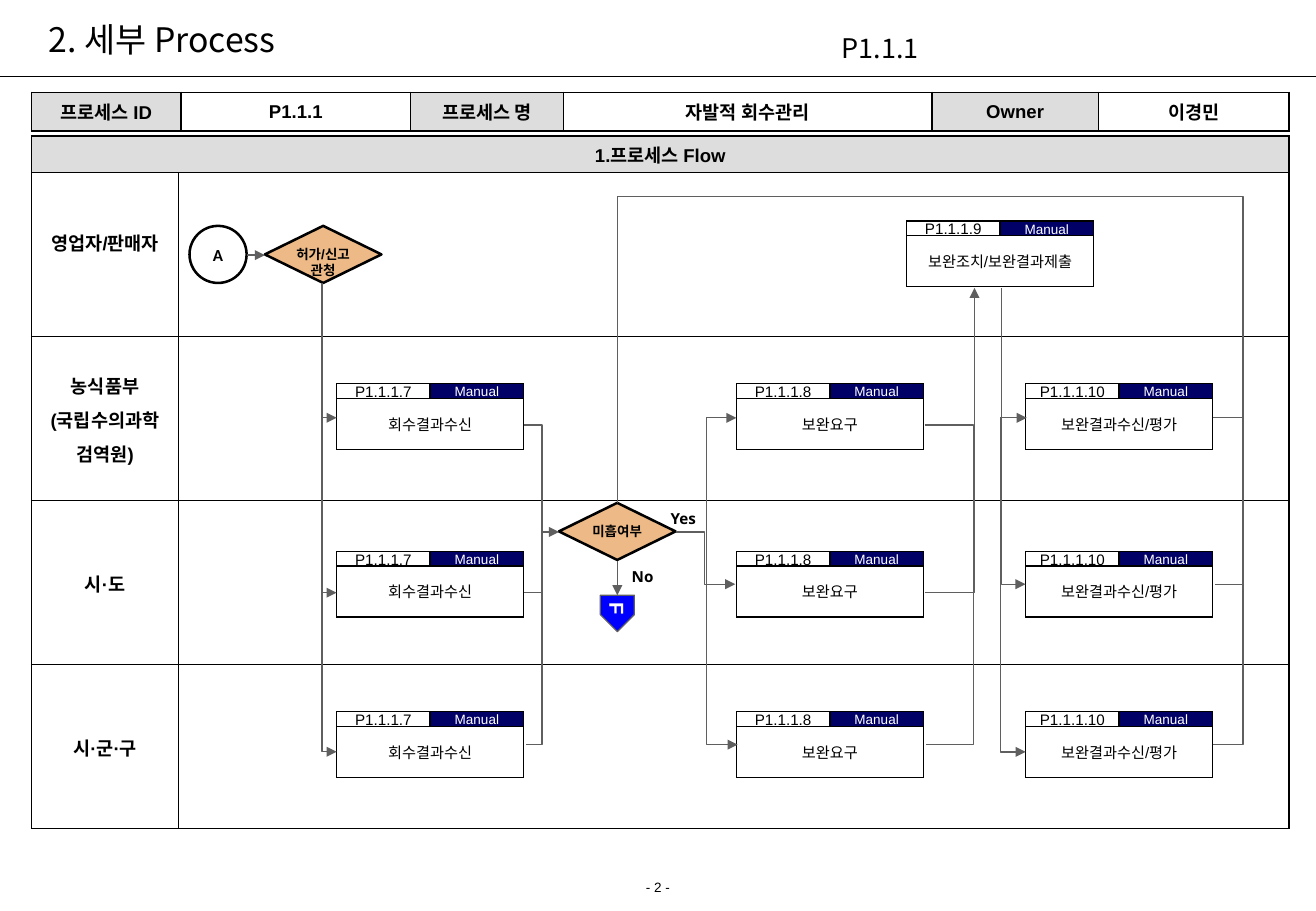
"""Build the detailed process slide: a header table, swimlanes and a flow."""
from dataclasses import dataclass
from typing import Any, Optional

import pptx
import pptx.dml.color
import pptx.enum.shapes
import pptx.enum.text
import pptx.oxml
import pptx.oxml.ns
import pptx.util
from pptx.util import Inches

ALIGN = pptx.enum.text.PP_ALIGN
ANCHOR = pptx.enum.text.MSO_ANCHOR
SHAPE = pptx.enum.shapes.MSO_SHAPE
CONNECTOR = pptx.enum.shapes.MSO_CONNECTOR
Point = tuple[float, float]
Box = tuple[float, float, float, float]


@dataclass(frozen=True)
class Type:
    """A text style."""
    size: float
    bold: bool = False
    color: str = "000000"
    font: str = "Arial"
    align: Any = ALIGN.CENTER
    spacing: float = 1.0
    after: float = 0


@dataclass(frozen=True)
class Theme:
    """Colours, line widths and text styles of the slide."""
    ink: str = "000000"
    paper: str = "FFFFFF"
    header: str = "DDDDDD"
    manual: str = "000066"
    decision: str = "EDBA87"
    exit: str = "0000FF"
    flow: str = "5F5F5F"
    thin: float = 0.75
    thick: float = 1.5
    title: Type = Type(20, font="Noto Sans CJK KR", align=ALIGN.LEFT)
    code: Type = Type(16, font="Noto Sans CJK KR", align=ALIGN.LEFT)
    cell: Type = Type(11, bold=True, after=3.3)
    lane: Type = Type(11, bold=True, spacing=1.05, after=3.3)
    step: Type = Type(9, spacing=1.04)
    mode: Type = Type(8, color="FFFFFF", spacing=1.04)
    question: Type = Type(8, bold=True)
    start: Type = Type(10, bold=True, font="Calibri")
    off_page: Type = Type(12, bold=True, color="FFFFFF")
    answer: Type = Type(9, bold=True, font="Open Sans", align=ALIGN.LEFT)
    page: Type = Type(8)


@dataclass(frozen=True)
class Step:
    """A process step with its number and its task."""
    left: float
    top: float
    number: str
    task: str


@dataclass(frozen=True)
class Route:
    """A right-angled flow line; it leaves sideways, and turns at turn_x and turn_y."""
    begin: Point
    end: Point
    turn_x: Optional[float] = None
    turn_y: Optional[float] = None
    begin_arrow: bool = False
    end_arrow: bool = False


THEME = Theme()
LANE_TOPS = (3.16, 4.54, 5.86)
STEP_COLUMNS = ((2.77, "P1.1.1.7", "회수결과수신"), (6.06, "P1.1.1.8", "보완요구"),
                (8.44, "P1.1.1.10", "보완결과수신/평가"))
STEPS = [Step(left, top, number, task)
         for left, number, task in STEP_COLUMNS for top in LANE_TOPS]
STEPS.append(Step(7.46, 1.82, "P1.1.1.9", "보완조치/보완결과제출"))

ROUTES = [Route((2.77, y), (2.65, 2.33), begin_arrow=True) for y in (3.44, 4.88, 6.19)]
ROUTES += [
    Route((4.31, 3.5), (4.33, 6.13), 4.46),
    Route((4.31, 4.88), (4.6, 4.38), 4.46, end_arrow=True),
    Route((6.06, 3.44), (6.07, 6.13), 5.81, begin_arrow=True, end_arrow=True),
    Route((5.56, 4.38), (6.05, 4.81), 5.8, end_arrow=True),
    Route((7.61, 3.5), (7.62, 6.13), 8.02),
    Route((8.45, 3.44), (8.44, 6.19), 8.23, begin_arrow=True, end_arrow=True),
    Route((8.44, 4.81), (8.24, 2.37), begin_arrow=True),
    Route((9.98, 6.13), (5.08, 4.14), 10.23, 1.62),
    Route((9.98, 3.44), (10, 4.81), 10.23),
    Route((7.61, 4.88), (8.02, 2.37), end_arrow=True),
]


def rgb(color: str) -> pptx.dml.color.RGBColor:
    """Turn a hex colour into an RGBColor."""
    return pptx.dml.color.RGBColor.from_string(color)


def write(frame: Any, text: str, style: Type) -> None:
    """Fill a text frame, one paragraph a line, in one style."""
    frame.text = text
    for paragraph in frame.paragraphs:
        paragraph.alignment = style.align
        paragraph.line_spacing = style.spacing
        paragraph.space_before = pptx.util.Pt(0)
        paragraph.space_after = pptx.util.Pt(style.after)
        font = paragraph.font
        font.name, font.bold, font.size = style.font, style.bold, pptx.util.Pt(style.size)
        font.color.rgb = rgb(style.color)


def add_label(shapes: Any, box: Box, text: str, style: Type) -> None:
    """Add a wrapping text box."""
    frame = shapes.add_textbox(*map(Inches, box)).text_frame
    frame.word_wrap = True
    write(frame, text, style)


def add_node(shapes: Any, kind: Any, box: Box, fill: Optional[str], text: str = "",
             style: Type = THEME.step, width: float = THEME.thin, line: str = THEME.ink) -> Any:
    """Add an outlined shape with centred text and narrow insets."""
    node = shapes.add_shape(kind, *map(Inches, box))
    node.shadow.inherit = False
    if fill:
        node.fill.solid()
        node.fill.fore_color.rgb = rgb(fill)
    else:
        node.fill.background()
    node.line.color.rgb, node.line.width = rgb(line), pptx.util.Pt(width)
    if text:
        frame = node.text_frame
        frame.margin_left = frame.margin_right = Inches(0.01)
        frame.margin_top = frame.margin_bottom = Inches(0.01)
        frame.vertical_anchor = ANCHOR.MIDDLE
        write(frame, text, style)
    return node


def add_decision(shapes: Any, left: float, top: float, text: str) -> None:
    """Add a decision diamond."""
    diamond = add_node(shapes, SHAPE.FLOWCHART_DECISION, (left, top, 0.96, 0.47),
                       THEME.decision, text, THEME.question, THEME.thick)
    diamond.text_frame.word_wrap = False
    diamond.text_frame.vertical_anchor = ANCHOR.TOP
    diamond.text_frame.margin_top = Inches(0.05)


def add_step(shapes: Any, step: Step) -> None:
    """Add a grouped step: task below, number and mode above, frame around."""
    width, strip, body = 1.54, 0.12, 0.42
    half = width / 2
    parts = add_parts = shapes.add_group_shape().shapes
    add_node(parts, SHAPE.RECTANGLE, (step.left, step.top + strip, width, body),
             THEME.paper, step.task)
    add_node(parts, SHAPE.RECTANGLE, (step.left, step.top, half, strip), THEME.paper, step.number)
    add_node(parts, SHAPE.RECTANGLE, (step.left + half, step.top, half, strip),
             THEME.manual, "Manual", THEME.mode)
    add_node(parts, SHAPE.RECTANGLE, (step.left, step.top, width, strip + body), None)


def add_line(shapes: Any, kind: Any, begin: Point, end: Point, color: str,
             begin_arrow: bool = False, end_arrow: bool = False) -> Any:
    """Add a connector without shadow, with arrowheads where asked."""
    line = shapes.add_connector(kind, *map(Inches, begin + end))
    line.line.color.rgb, line.line.width = rgb(color), pptx.util.Pt(THEME.thin)
    stroke = line.line._get_or_add_ln()
    for tag, wanted in (("a:headEnd", begin_arrow), ("a:tailEnd", end_arrow)):
        if wanted:
            arrow = pptx.oxml.xmlchemy.OxmlElement(tag)
            arrow.set("type", "triangle")
            stroke.append(arrow)
    line.element.spPr.append(pptx.oxml.xmlchemy.OxmlElement("a:effectLst"))
    return line


def add_route(shapes: Any, route: Route) -> None:
    """Add an elbow connector whose turns lie at the given places."""
    line = add_line(shapes, CONNECTOR.ELBOW, route.begin, route.end, THEME.flow,
                    route.begin_arrow, route.end_arrow)
    shares = [(turn - start) / (stop - start) for turn, start, stop in
              zip((route.turn_x, route.turn_y), route.begin, route.end) if turn is not None]
    geometry = line.element.spPr.find(pptx.oxml.ns.qn("a:prstGeom"))
    geometry.set("prst", f"bentConnector{2 + len(shares)}")
    guides = geometry.find(pptx.oxml.ns.qn("a:avLst"))
    for index, share in enumerate(shares, 1):
        guide = pptx.oxml.xmlchemy.OxmlElement("a:gd")
        guide.set("name", f"adj{index}")
        guide.set("fmla", f"val {round(share * 100000)}")
        guides.append(guide)


def fill_cell(cell: Any, text: str, fill: str, style: Type) -> None:
    """Write a table cell with black borders."""
    properties = cell._tc.get_or_add_tcPr()
    for side in "LRTB":
        properties.append(pptx.oxml.parse_xml(
            f'<a:ln{side} {pptx.oxml.ns.nsdecls("a")} w="12700"><a:solidFill>'
            f'<a:srgbClr val="{THEME.ink}"/></a:solidFill></a:ln{side}>'))
    cell.fill.solid()
    cell.fill.fore_color.rgb = rgb(fill)
    cell.vertical_anchor = ANCHOR.MIDDLE
    cell.margin_top = cell.margin_bottom = Inches(0.03)
    write(cell.text_frame, text, style)


def add_grid(shapes: Any, top: float, columns: list[float], rows: list[float]) -> Any:
    """Add a plain table with the given column widths and row heights."""
    grid = shapes.add_table(len(rows), len(columns), Inches(0.26), Inches(top),
                            Inches(sum(columns)), Inches(sum(rows))).table
    grid.first_row = grid.horz_banding = False
    for column, width in zip(grid.columns, columns):
        column.width = Inches(width)
    for row, height in zip(grid.rows, rows):
        row.height = Inches(height)
    return grid


def add_tables(shapes: Any) -> None:
    """Add the process header and the swimlanes."""
    header = add_grid(shapes, 0.76, [1.23, 1.89, 1.26, 3.03, 1.37, 1.57], [0.32])
    facts = ("프로세스 ID", "P1.1.1", "프로세스 명", "자발적 회수관리", "Owner", "이경민")
    for index, fact in enumerate(facts):
        fill_cell(header.cell(0, index), fact, THEME.paper if index % 2 else THEME.header,
                  THEME.cell)
    lanes = add_grid(shapes, 1.12, [1.21, 9.14], [0.3] + [1.35] * 4)
    lanes.cell(0, 0).merge(lanes.cell(0, 1))
    fill_cell(lanes.cell(0, 0), "1.프로세스 Flow", THEME.header, THEME.cell)
    fill_cell(lanes.cell(0, 1), "", THEME.header, THEME.cell)
    owners = ("영업자/판매자", "농식품부\n(국립수의과학\n검역원)", "시·도", "시·군·구")
    for row, owner in enumerate(owners, 1):
        fill_cell(lanes.cell(row, 0), owner, THEME.paper, THEME.lane)
        fill_cell(lanes.cell(row, 1), "", THEME.paper, THEME.lane)
    lanes.cell(1, 0).margin_bottom = Inches(0.24)


def add_flow(shapes: Any) -> None:
    """Add the steps, decisions, ends and flow lines."""
    for step in STEPS:
        add_step(shapes, step)
    add_node(shapes, SHAPE.OVAL, (1.56, 1.86, 0.47, 0.47), None, "A", THEME.start, THEME.thick)
    add_decision(shapes, 2.18, 1.86, "허가/신고\n관청")
    add_decision(shapes, 4.6, 4.14, "미흡여부")
    for route in ROUTES:
        add_route(shapes, route)
    for begin, end in (((2.03, 2.1), (2.18, 2.1)), ((5.08, 4.62), (5.08, 4.9))):
        add_line(shapes, CONNECTOR.STRAIGHT, begin, end, THEME.flow, end_arrow=True)
    add_label(shapes, (5.42, 4.14, 0.55, 0.24), "Yes", THEME.answer)
    add_label(shapes, (5.1, 4.62, 0.55, 0.24), "No", THEME.answer)
    off_page = add_node(shapes, SHAPE.PENTAGON, (4.93, 4.91, 0.3, 0.28), THEME.exit, "F",
                        THEME.off_page, line=THEME.flow)
    off_page.rotation = 90


def main() -> None:
    """Build and save the slide."""
    deck = pptx.Presentation()
    deck.slide_width, deck.slide_height = Inches(10.83), Inches(7.5)
    slide = deck.slides.add_slide(deck.slide_layouts[5])
    title = slide.shapes.title
    title.left, title.top, title.width, title.height = map(Inches, (0.3, 0.05, 6.85, 0.55))
    title.text_frame.vertical_anchor = ANCHOR.MIDDLE
    write(title.text_frame, "2. 세부 Process", THEME.title)
    add_line(slide.shapes, CONNECTOR.STRAIGHT, (0, 0.63), (10.83, 0.63), THEME.ink)
    add_label(slide.shapes, (6.83, 0.21, 3.15, 0.34), "P1.1.1", THEME.code)
    add_tables(slide.shapes)
    add_flow(slide.shapes)
    add_label(slide.shapes, (0, 7.19, 10.83, 0.24), "- 2 -", THEME.page)
    deck.save("out.pptx")


main()
